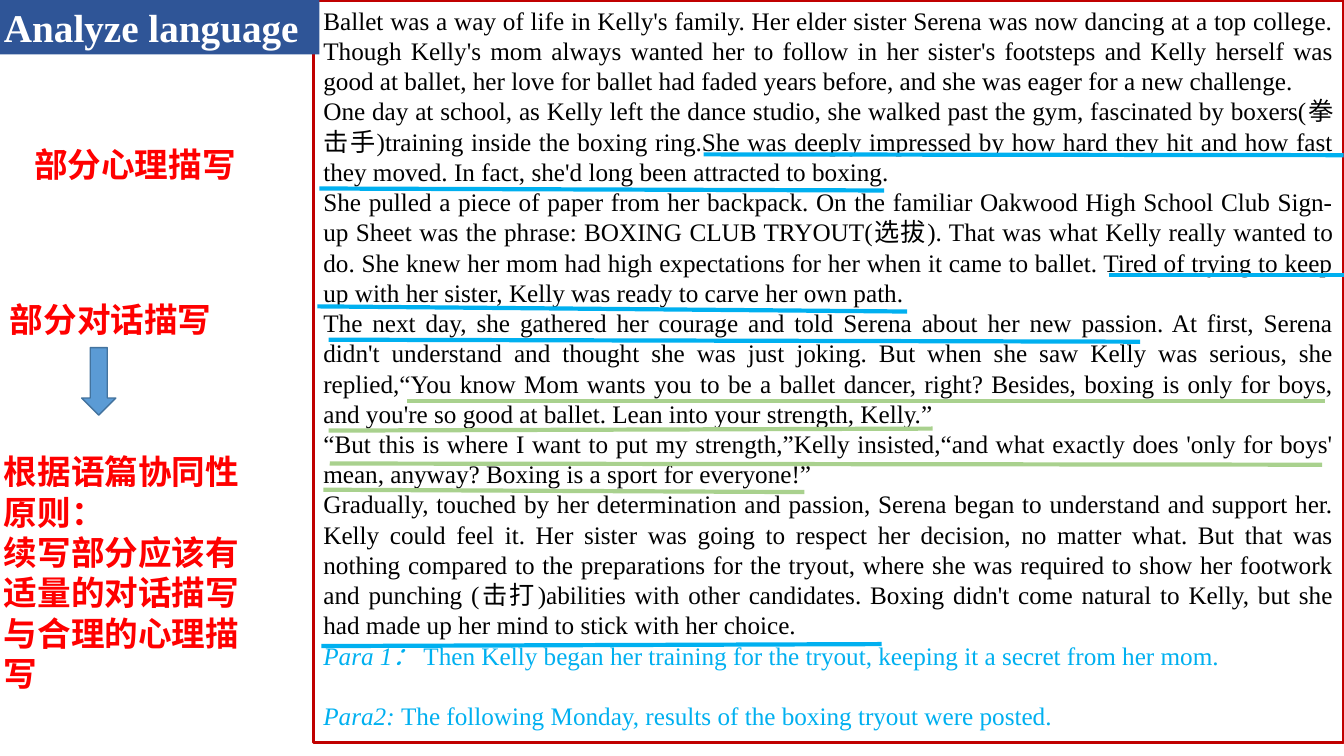
from lxml.etree import SubElement
from pptx import Presentation
from pptx.dml.color import RGBColor
from pptx.enum.shapes import MSO_CONNECTOR as Connector, MSO_SHAPE as Preset
from pptx.enum.text import MSO_ANCHOR as Anchor, MSO_AUTO_SIZE as Fit, PP_ALIGN as Align
from pptx.oxml.ns import qn
from pptx.util import Cm, Pt

SERIF = "Times New Roman"
HAN = "Noto Sans CJK SC"
RED = "FF0000"
BLUE = "00B0F0"
GREEN = "A9D18E"

STORY = [
    "Ballet was a way of life in Kelly's family. Her elder sister Serena was now dancing at a top college. Though Kelly's mom always wanted her to follow in her sister's footsteps and Kelly herself was good at ballet, her love for ballet had faded years before, and she was eager for a new challenge.",
    "One day at school, as Kelly left the dance studio, she walked past the gym, fascinated by boxers(拳击手)training inside the boxing ring.She was deeply impressed by how hard they hit and how fast they moved. In fact, she'd long been attracted to boxing.",
    "She pulled a piece of paper from her backpack. On the familiar Oakwood High School Club Sign-up Sheet was the phrase: BOXING CLUB TRYOUT(选拔). That was what Kelly really wanted to do. She knew her mom had high expectations for her when it came to ballet. Tired of trying to keep up with her sister, Kelly was ready to carve her own path.",
    "The next day, she gathered her courage and told Serena about her new passion. At first, Serena didn't understand and thought she was just joking. But when she saw Kelly was serious, she replied,“You know Mom wants you to be a ballet dancer, right? Besides, boxing is only for boys, and you're so good at ballet. Lean into your strength, Kelly.”",
    "“But this is where I want to put my strength,”Kelly insisted,“and what exactly does 'only for boys' mean, anyway? Boxing is a sport for everyone!”",
    "Gradually, touched by her determination and passion, Serena began to understand and support her. Kelly could feel it. Her sister was going to respect her decision, no matter what. But that was nothing compared to the preparations for the tryout, where she was required to show her footwork and punching (击打)abilities with other candidates. Boxing didn't come natural to Kelly, but she had made up her mind to stick with her choice.",
]

OPENINGS = [
    ("Para 1： ", "Then Kelly began her training for the tryout, keeping it a secret from her mom.", 0),
    ("Para2: ", "The following Monday, results of the boxing tryout were posted.", 21.6),
]

NOTES = [
    (0, 7.42, 7.82, 1.27, HAN, ["部分对话描写"]),
    (0.61, 3.51, 6.5, 1.27, SERIF, ["部分心理描写"]),
    (-0.15, 11.25, 6.5, 6.4, SERIF,
     ["根据语篇协同性原则：", "续写部分应该有适量的对话描写与合理的心理描写"]),
]

UNDERLINES = {
    BLUE: [
        (17.73, 3.89, 33.86, 3.91),
        (8.05, 4.75, 22.28, 4.8),
        (27.94, 6.93, 33.86, 6.93),
        (8, 7.72, 22.86, 7.85),
        (8.28, 8.56, 28.73, 8.61),
        (8.1, 16.28, 22.22, 16.23),
    ],
    GREEN: [
        (10.26, 10.11, 33.38, 10.11),
        (8.28, 10.85, 23.5, 10.8),
        (8.31, 11.68, 33.32, 11.71),
        (8.15, 12.34, 20.27, 12.4),
    ],
}


def color(code):
    return RGBColor.from_string(code)


def add_run(paragraph, text, size, code, face=SERIF, bold=False, italic=False):
    run = paragraph.add_run()
    run.text = text
    font = run.font
    font.size, font.bold, font.italic = Pt(size), bold, italic
    font.color.rgb = color(code)
    font.name = face
    SubElement(font._element, qn("a:ea"), typeface=HAN)


def next_paragraph(frame, size, align=Align.LEFT, before=0):
    first = frame.paragraphs[0]
    paragraph = frame.add_paragraph() if first.runs else first
    paragraph.alignment = align
    paragraph.line_spacing = Pt(size * 1.2)
    if before:
        paragraph.space_before = Pt(before)
    return paragraph


def add_preset(slide, preset, left, top, width, height, fill=None, line=None, weight=1):
    shape = slide.shapes.add_shape(preset, Cm(left), Cm(top), Cm(width), Cm(height))
    shape.shadow.inherit = False
    if fill:
        shape.fill.solid()
        shape.fill.fore_color.rgb = color(fill)
    else:
        shape.fill.background()
    if line:
        shape.line.color.rgb = color(line)
        shape.line.width = Pt(weight)
    else:
        shape.line.fill.background()
    return shape


def add_passage(slide):
    panel = add_preset(slide, Preset.RECTANGLE, 7.9, 0, 25.96, 18.72, line="C00000", weight=2.25)
    frame = panel.text_frame
    frame.word_wrap = True
    frame.vertical_anchor = Anchor.TOP
    for text in STORY:
        add_run(next_paragraph(frame, 18, Align.JUSTIFY), text, 18, "000000")
    for label, sentence, before in OPENINGS:
        paragraph = next_paragraph(frame, 18, before=before)
        add_run(paragraph, label, 18, BLUE, italic=True)
        add_run(paragraph, sentence, 18, BLUE)


def add_heading(slide):
    banner = add_preset(slide, Preset.RECTANGLE, -0.1, 0, 8.15, 1.37, fill="2F5597")
    frame = banner.text_frame
    frame.word_wrap = True
    frame.vertical_anchor = Anchor.MIDDLE
    frame.margin_left = frame.margin_right = Cm(0.2)
    frame.margin_top = frame.margin_bottom = Cm(0.1)
    add_run(next_paragraph(frame, 28), "Analyze language", 28, "FFFFFF", bold=True)


def add_note(slide, left, top, width, height, face, lines):
    note = slide.shapes.add_textbox(Cm(left), Cm(top), Cm(width), Cm(height))
    frame = note.text_frame
    frame.word_wrap = True
    frame.auto_size = Fit.SHAPE_TO_FIT_TEXT
    for text in lines:
        add_run(next_paragraph(frame, 24), text, 24, RED, face, bold=True)


def add_underline(slide, code, ends):
    underline = slide.shapes.add_connector(Connector.STRAIGHT, *map(Cm, ends))
    underline.line.color.rgb = color(code)
    underline.line.width = Pt(3)
    SubElement(underline._element.spPr, qn("a:effectLst"))


def main():
    deck = Presentation()
    deck.slide_width, deck.slide_height = Cm(33.87), Cm(19.05)
    slide = deck.slides.add_slide(deck.slide_layouts[6])
    add_passage(slide)
    add_heading(slide)
    for note in NOTES:
        add_note(slide, *note)
    add_preset(slide, Preset.DOWN_ARROW, 2.06, 8.76, 0.86, 1.7, fill="5B9BD5", line="43739E")
    for code, lines in UNDERLINES.items():
        for ends in lines:
            add_underline(slide, code, ends)
    deck.save("out.pptx")


if __name__ == "__main__":
    main()
